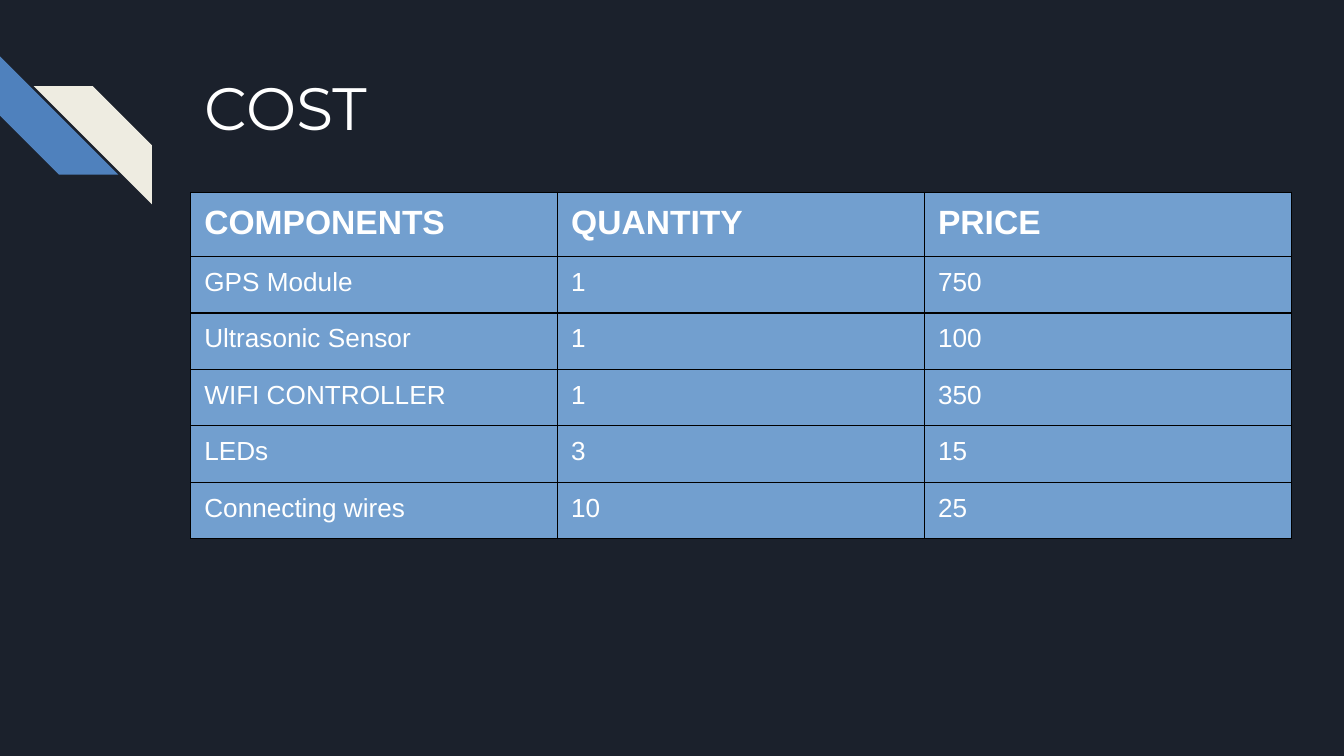
from pptx import Presentation
from pptx.dml.color import RGBColor
from pptx.enum import shapes, text
from pptx.oxml import ns
from pptx.util import Inches, Pt
from lxml import etree

NIGHT = RGBColor(0x1B, 0x21, 0x2C)
BLUE = RGBColor(0x4F, 0x81, 0xBD)
CREAM = RGBColor(0xEE, 0xEC, 0xE1)
SKY = RGBColor(0x72, 0x9F, 0xCF)
WHITE = RGBColor(0xFF, 0xFF, 0xFF)
BLACK = RGBColor(0, 0, 0)

COSTS = [
    ("COMPONENTS", "QUANTITY", "PRICE"),
    ("GPS Module", "1", "750"),
    ("Ultrasonic Sensor", "1", "100"),
    ("WIFI CONTROLLER", "1", "350"),
    ("LEDs", "3", "15"),
    ("Connecting wires", "10", "25"),
]


def write(para, words, font, size, bold=False):
    run = para.add_run()
    run.text = words
    run.font.name = font
    run.font.size = Pt(size)
    run.font.bold = bold
    run.font.color.rgb = WHITE


def add_stripe(slide, left, top, side, color):
    stripe = slide.shapes.add_shape(
        shapes.MSO_SHAPE.DIAGONAL_STRIPE,
        Inches(left), Inches(top), Inches(side), Inches(side))
    stripe.shadow.inherit = False
    stripe.fill.solid()
    stripe.fill.fore_color.rgb = color
    stripe.line.fill.background()
    return stripe


def add_mark(slide, left, top, side):
    lower = add_stripe(slide, left, top, side, BLUE)
    lower.rotation = 270
    upper = add_stripe(slide, left + 0.25, top + 0.22, side, CREAM)
    upper.element.spPr.find(ns.qn("a:xfrm")).set("flipH", "1")


def add_title(slide, left, top, width, height, words):
    box = slide.shapes.add_textbox(
        Inches(left), Inches(top), Inches(width), Inches(height))
    frame = box.text_frame
    frame.word_wrap = True
    frame.vertical_anchor = text.MSO_ANCHOR.TOP
    frame.margin_left = frame.margin_right = Inches(0.1)
    frame.margin_top = frame.margin_bottom = Inches(0.1)
    write(frame.paragraphs[0], words, "Montserrat", 32)


def add_edges(cell):
    props = cell._tc.get_or_add_tcPr()
    for spot, side in enumerate(("lnL", "lnR", "lnT", "lnB")):
        edge = etree.Element(ns.qn(f"a:{side}"), w=str(Pt(0.75)))
        fill = etree.SubElement(edge, ns.qn("a:solidFill"))
        etree.SubElement(fill, ns.qn("a:srgbClr"), val=str(BLACK))
        props.insert(spot, edge)


def add_costs(slide, left, top, width, head, step):
    high = head + step * (len(COSTS) - 1)
    table = slide.shapes.add_table(
        len(COSTS), len(COSTS[0]),
        Inches(left), Inches(top), Inches(width), Inches(high)).table
    for col in table.columns:
        col.width = Inches(width / len(COSTS[0]))
    for r, row in enumerate(COSTS):
        table.rows[r].height = Inches(step if r else head)
        for c, words in enumerate(row):
            cell = table.cell(r, c)
            cell.margin_left = cell.margin_right = Inches(0.1)
            cell.margin_top = cell.margin_bottom = Inches(0.05)
            cell.fill.solid()
            cell.fill.fore_color.rgb = SKY
            add_edges(cell)
            para = cell.text_frame.paragraphs[0]
            para.line_spacing = 1.15
            write(para, words, "Arial", 14 if r else 18, r == 0)


def main():
    deck = Presentation()
    deck.slide_width = Inches(10)
    deck.slide_height = Inches(10 * 9 / 16)
    slide = deck.slides.add_slide(deck.slide_layouts[6])
    slide.background.fill.solid()
    slide.background.fill.fore_color.rgb = NIGHT
    add_mark(slide, 0, 0.42, 0.88)
    add_title(slide, 1.42, 0.43, 7.7, 1, "COST")
    add_costs(slide, 1.42, 1.43, 8.19, 0.48, 0.42)
    deck.save("out.pptx")


if __name__ == "__main__":
    main()
